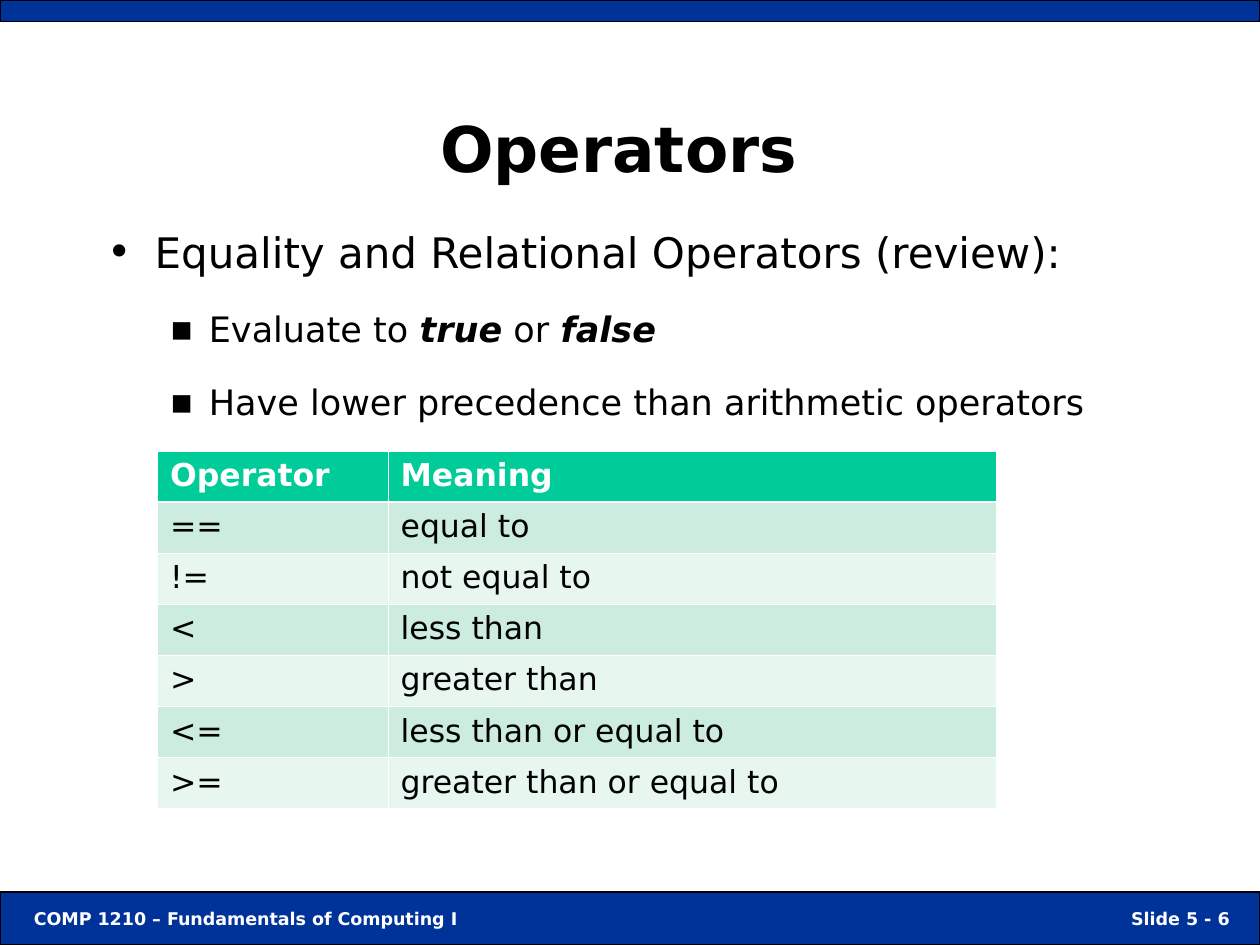
from dataclasses import dataclass

from lxml.etree import SubElement
from pptx import Presentation
from pptx.dml.color import RGBColor
from pptx.enum.shapes import MSO_SHAPE
from pptx.enum.text import MSO_ANCHOR, PP_ALIGN
from pptx.oxml.ns import qn
from pptx.util import Inches, Pt


@dataclass(frozen=True)
class Theme:
    """Colours, font and type sizes of the slide."""
    font: str = "DejaVu Sans"
    black: RGBColor = RGBColor(0x00, 0x00, 0x00)
    white: RGBColor = RGBColor(0xFF, 0xFF, 0xFF)
    bar: RGBColor = RGBColor(0x00, 0x33, 0x99)
    header: RGBColor = RGBColor(0x00, 0xCC, 0x99)
    bands: tuple = (RGBColor(0xE7, 0xF6, 0xEF), RGBColor(0xCB, 0xEC, 0xDE))
    title_size: int = 36
    topic_size: int = 24
    point_size: int = 20
    table_size: int = 18
    footer_size: int = 10


THEME = Theme()

LEVELS = (
    {"mark": "•", "margin": 0.38, "hanging": 0.38, "size": THEME.topic_size, "before": 21},
    {"mark": "▪", "margin": 0.81, "hanging": 0.31, "size": THEME.point_size, "before": 17.5},
)

BULLETS = (
    (0, (("Equality and Relational Operators (review):", False),)),
    (1, (("Evaluate to ", False), ("true", True), (" or ", False), ("false", True))),
    (1, (("Have lower precedence than arithmetic operators", False),)),
)

OPERATORS = (
    ("Operator", "Meaning"),
    ("==", "equal to"),
    ("!=", "not equal to"),
    ("<", "less than"),
    (">", "greater than"),
    ("<=", "less than or equal to"),
    (">=", "greater than or equal to"),
)


def apply_format(target, values):
    """Set each named attribute on the target."""
    for name, value in values.items():
        setattr(target, name, value)


def format_font(font, size, color, bold=False):
    """Give a font the theme typeface with a size, colour and weight."""
    apply_format(font, {"name": THEME.font, "size": Pt(size), "bold": bold})
    font.color.rgb = color


def write_line(frame, text, size, color, align=PP_ALIGN.LEFT, anchor=MSO_ANCHOR.TOP, right=0.1):
    """Write one bold line into a text frame."""
    apply_format(frame, {"word_wrap": True, "vertical_anchor": anchor,
                         "margin_right": Inches(right)})
    paragraph = frame.paragraphs[0]
    paragraph.text = text
    paragraph.alignment = align
    format_font(paragraph.font, size, color, bold=True)


def add_text_box(slide, left, top, width, height):
    """Add a wrapping text box and return its frame."""
    frame = slide.shapes.add_textbox(
        Inches(left), Inches(top), Inches(width), Inches(height)).text_frame
    frame.word_wrap = True
    return frame


def add_bar(slide, top, height):
    """Add a full-width blue bar."""
    shape = slide.shapes.add_shape(
        MSO_SHAPE.RECTANGLE, 0, Inches(top), Inches(10), Inches(height))
    shape.shadow.inherit = False
    shape.fill.solid()
    shape.fill.fore_color.rgb = THEME.bar
    shape.line.color.rgb = THEME.black
    shape.line.width = Pt(0.75)
    return shape


def add_bullet(paragraph, level):
    """Give a paragraph the hanging bullet of its level."""
    style = LEVELS[level]
    paragraph.level = level
    properties = paragraph._p.get_or_add_pPr()
    properties.set("marL", str(Inches(style["margin"])))
    properties.set("indent", str(-Inches(style["hanging"])))
    SubElement(properties, qn("a:buFont"), typeface=THEME.font)
    SubElement(properties, qn("a:buChar"), char=style["mark"])


def add_bullets(slide):
    """Add the two-level bullet list."""
    frame = add_text_box(slide, 0.75, 1.75, 8.5, 4.92)
    for index, (level, runs) in enumerate(BULLETS):
        paragraph = frame.paragraphs[0] if index == 0 else frame.add_paragraph()
        add_bullet(paragraph, level)
        paragraph.space_before = Pt(LEVELS[level]["before"] if index else 0)
        format_font(paragraph.font, LEVELS[level]["size"], THEME.black)
        for text, emphasis in runs:
            run = paragraph.add_run()
            run.text = text
            format_font(run.font, LEVELS[level]["size"], THEME.black, emphasis)
            run.font.italic = emphasis


def add_borders(cell, widths):
    """Draw white cell borders ahead of the cell fill."""
    properties = cell._tc.get_or_add_tcPr()
    for index, (side, width) in enumerate(widths.items()):
        line = SubElement(properties, qn(f"a:{side}"), w=str(Pt(width)))
        fill = SubElement(line, qn("a:solidFill"))
        SubElement(fill, qn("a:srgbClr"), val=str(THEME.white))
        properties.insert(index, line)


def add_operator_table(slide):
    """Add the banded table of operators."""
    height = Inches(2.84)
    table = slide.shapes.add_table(
        len(OPERATORS), 2, Inches(1.25), Inches(3.58), Inches(6.66), height).table
    for column, width in zip(table.columns, (1.83, 4.83)):
        column.width = Inches(width)
    for row_index, texts in enumerate(OPERATORS):
        table.rows[row_index].height = height // len(OPERATORS)
        is_header = row_index == 0
        for column_index, text in enumerate(texts):
            cell = table.cell(row_index, column_index)
            cell.text = text
            format_font(cell.text_frame.paragraphs[0].font, THEME.table_size,
                        THEME.white if is_header else THEME.black, is_header)
            cell.fill.solid()
            cell.fill.fore_color.rgb = THEME.header if is_header else THEME.bands[row_index % 2]
            add_borders(cell, {"lnL": 0.45, "lnR": 0.45,
                               "lnT": 1.47 if row_index == 1 else 0.45,
                               "lnB": 1.47 if is_header else 0.45})


def main():
    """Build and save the slide."""
    presentation = Presentation()
    presentation.slide_width, presentation.slide_height = Inches(10), Inches(7.5)
    slide = presentation.slides.add_slide(presentation.slide_layouts[6])
    footer = add_bar(slide, 7.08, 0.42)
    write_line(footer.text_frame, "Slide 5 - 6", THEME.footer_size, THEME.white,
               PP_ALIGN.RIGHT, MSO_ANCHOR.MIDDLE, right=0.24)
    write_line(add_text_box(slide, 0.17, 7.16, 3.67, 0.27),
               "COMP 1210 – Fundamentals of Computing I", THEME.footer_size, THEME.white)
    add_bar(slide, 0, 0.17)
    write_line(add_text_box(slide, 0.75, 0.67, 8.5, 1), "Operators", THEME.title_size,
               THEME.black, PP_ALIGN.CENTER, MSO_ANCHOR.MIDDLE, right=0.28)
    add_bullets(slide)
    add_operator_table(slide)
    presentation.save("out.pptx")


if __name__ == "__main__":
    main()
